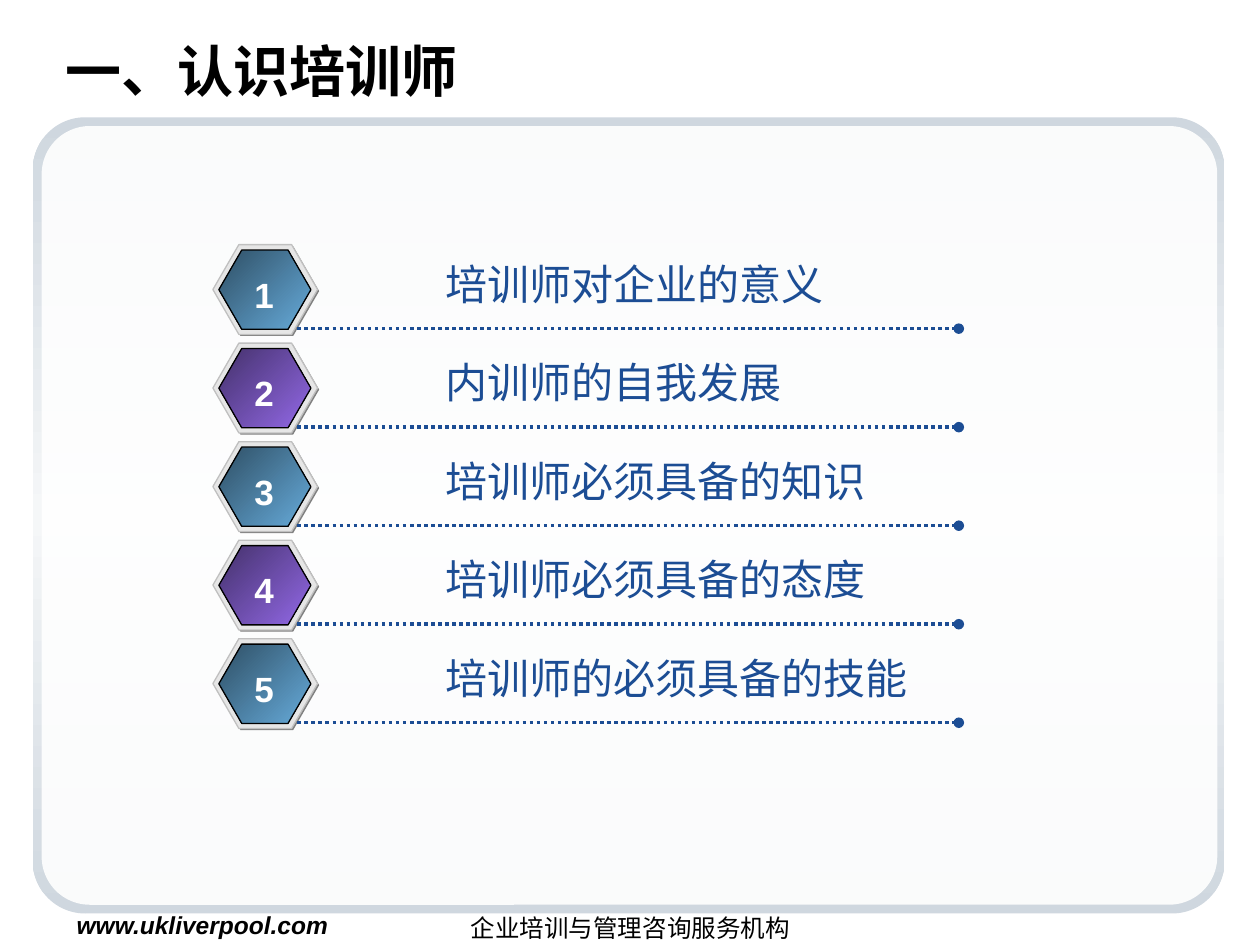
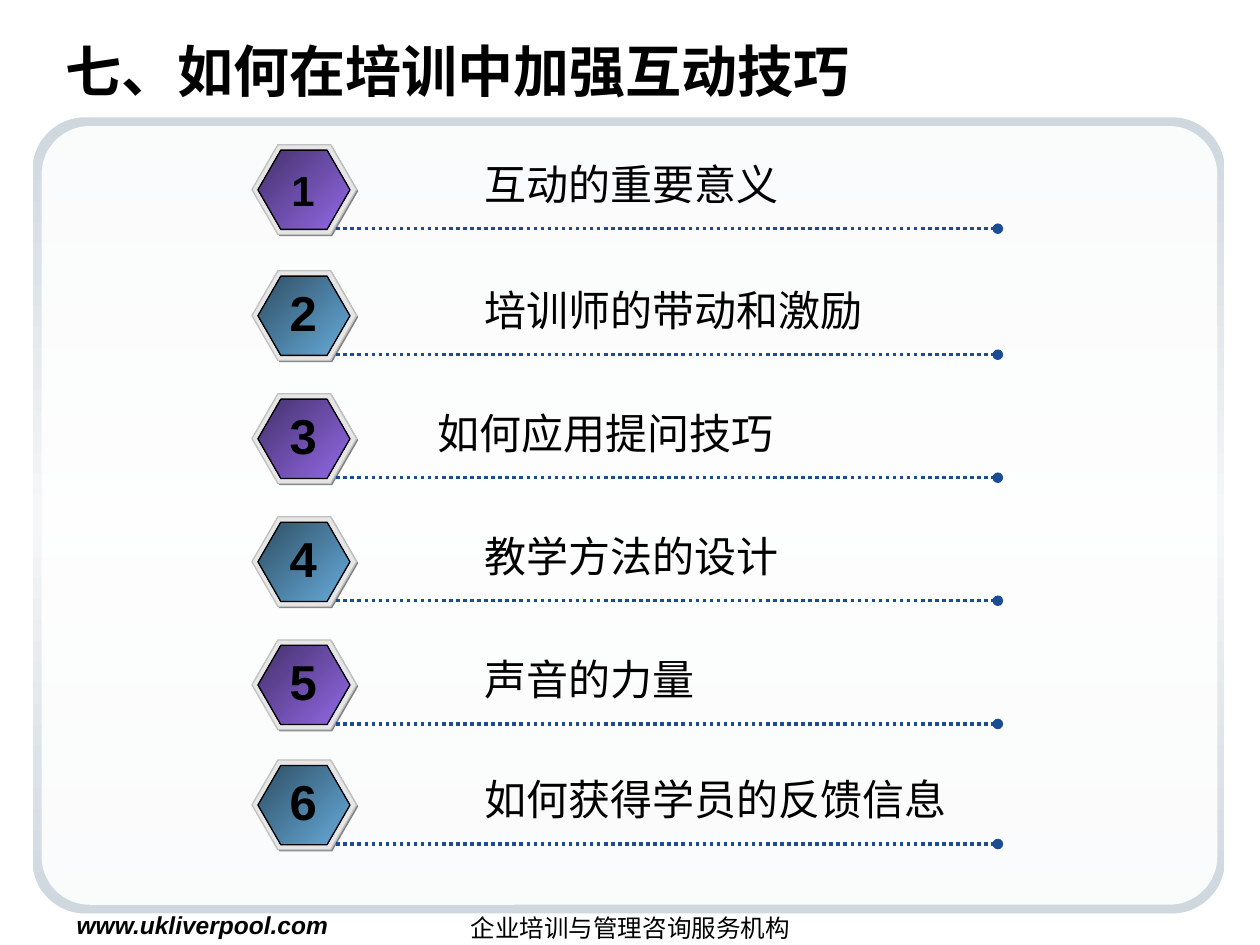
import lxml.etree
import pptx
import pptx.dml.color
import pptx.enum.dml
import pptx.enum.shapes
import pptx.enum.text
import pptx.oxml.ns
import pptx.util
from dataclasses import dataclass

WEB_ADDRESS = "www.ukliverpool.com"
COMPANY = "企业培训与管理咨询服务机构"

# Each item: label, badge colour, number size, shift of the label
AGENDAS = [
    {
        "title": "一、认识培训师",
        "left": 121.7,
        "tops": [139.8 + 56.3 * row for row in range(5)],
        "label_color": "1C4D94",
        "number_color": "FFFFFF",
        "items": [
            ("培训师对企业的意义", "blue", 20, 0),
            ("内训师的自我发展", "purple", 20, 0),
            ("培训师必须具备的知识", "blue", 20, 0),
            ("培训师必须具备的态度", "purple", 20, 0),
            ("培训师的必须具备的技能", "blue", 20, 0),
        ],
    },
    {
        "title": "七、如何在培训中加强互动技巧",
        "left": 144,
        "tops": [82.7, 154.7, 225, 295.3, 365.7, 434.3],
        "label_color": "000000",
        "number_color": "000000",
        "items": [
            ("互动的重要意义", "purple", 24, 0),
            ("培训师的带动和激励", "blue", 28, 0),
            ("如何应用提问技巧", "purple", 28, -27),
            ("教学方法的设计", "blue", 28, 0),
            ("声音的力量", "purple", 28, 0),
            ("如何获得学员的反馈信息", "blue", 28, 0),
        ],
    },
]


@dataclass(frozen=True)
class Theme:
    font: str = "Arial"
    text: str = "000000"
    white: str = "FFFFFF"
    rule: str = "1C4D94"
    badge_shadow: str = "808080"
    badge_ring: str = "E6E6E6"
    badge_edge: str = "C0C0C0"
    frame: tuple = ("CFD7DF", "F5F7F8", "CFD7DF")
    blue: tuple = ("2F4F65", "66ABDA")
    purple: tuple = ("44316B", "9369E7")
    title_size: int = 32
    label_size: int = 24
    footer_size: int = 14


THEME = Theme()
INSET = 7.2
SHAPES = pptx.enum.shapes.MSO_SHAPE
ALIGN = pptx.enum.text.PP_ALIGN
ANCHOR = pptx.enum.text.MSO_ANCHOR
qn = pptx.oxml.ns.qn
Pt = pptx.util.Pt


def rgb(color):
    return pptx.dml.color.RGBColor.from_string(color)


def fill_gradient(shape, colors, angle):
    """Spread the colours evenly; angle runs clockwise in degrees."""
    shape.fill.gradient()
    shape.fill.gradient_angle = 360 - angle
    stops = shape._element.spPr.find(qn("a:gradFill")).find(qn("a:gsLst"))
    for stop in list(stops):
        stops.remove(stop)
    for index, color in enumerate(colors):
        position = str(index * 100000 // (len(colors) - 1))
        stop = lxml.etree.SubElement(stops, qn("a:gs"), pos=position)
        lxml.etree.SubElement(stop, qn("a:srgbClr"), val=color)


def add_shape(shapes, kind, box, fill, adjustments, edge=None, angle=45):
    """A tuple as fill makes a gradient, a string a solid colour."""
    shape = shapes.add_shape(kind, *map(Pt, box))
    shape.shadow.inherit = False
    for index, value in enumerate(adjustments):
        shape.adjustments[index] = value
    if isinstance(fill, tuple):
        fill_gradient(shape, fill, angle)
    else:
        shape.fill.solid()
        shape.fill.fore_color.rgb = rgb(fill)
    if edge:
        shape.line.color.rgb = rgb(edge)
        shape.line.width = Pt(0.75)
    else:
        shape.line.fill.background()
    return shape


def add_text(shapes, text, box, size, color=THEME.text, align=ALIGN.LEFT,
             anchor=ANCHOR.TOP, wrap=True, **font_format):
    frame = shapes.add_textbox(*map(Pt, box)).text_frame
    frame.word_wrap = wrap
    frame.vertical_anchor = anchor
    paragraph = frame.paragraphs[0]
    paragraph.alignment = align
    run = paragraph.add_run()
    run.text = text
    run.font.color.rgb = rgb(color)
    formats = {"name": THEME.font, "size": Pt(size), **font_format}
    for name, value in formats.items():
        setattr(run.font, name, value)


def add_dotted_rule(shapes, left, right, y):
    rule = shapes.add_connector(pptx.enum.shapes.MSO_CONNECTOR.STRAIGHT,
                                Pt(left), Pt(y), Pt(right), Pt(y))
    rule.line.color.rgb = rgb(THEME.rule)
    rule.line.width = Pt(2)
    rule.line.dash_style = pptx.enum.dml.MSO_LINE.ROUND_DOT
    properties = rule._element.spPr
    lxml.etree.SubElement(properties.find(qn("a:ln")), qn("a:tailEnd"), type="oval")
    lxml.etree.SubElement(properties, qn("a:effectLst"))


def add_background(slide, title):
    """Framed panel, footers and title."""
    shapes = slide.shapes
    add_shape(shapes, SHAPES.ROUNDED_RECTANGLE, (18.7, 67, 681.1, 455),
              THEME.frame, [0.066], angle=90)
    panel = add_shape(shapes, SHAPES.ROUNDED_RECTANGLE, (23.8, 72, 671.8, 445),
                      THEME.white, [0.062])
    color = panel._element.spPr.find(qn("a:solidFill")).find(qn("a:srgbClr"))
    lxml.etree.SubElement(color, qn("a:alpha"), val="90000")
    add_text(shapes, WEB_ADDRESS, (36.7, 516.2, 170, 24), THEME.footer_size,
             bold=True, italic=True)
    add_text(shapes, COMPANY, (246.2, 518.4, 228.2, 18), THEME.footer_size,
             align=ALIGN.CENTER)
    add_text(shapes, title, (30.2, 18, 671.8, 44.6), THEME.title_size,
             anchor=ANCHOR.MIDDLE, bold=True)


def add_row(slide, agenda, number, left, top, item):
    label, badge_color, number_size, label_shift = item
    shapes = slide.shapes.add_group_shape().shapes

    badge_layers = [
        (0.9, 0.9, 59.8, 51.3, THEME.badge_shadow, None),
        (0, 0, 59.8, 51.3, THEME.badge_ring, THEME.badge_edge),
        (3.4, 3.1, 52.6, 45.3, getattr(THEME, badge_color), THEME.text),
    ]
    for dx, dy, width, height, fill, edge in badge_layers:
        add_shape(shapes, SHAPES.HEXAGON, (left + dx, top + dy, width, height),
                  fill, [0.289, 1.155], edge)

    add_dotted_rule(shapes, left + 48.2, left + 426.2, top + 48)
    label_width = len(label) * THEME.label_size + 2 * INSET
    add_text(shapes, label, (left + 126 + label_shift, top + 4.2, label_width, 36),
             THEME.label_size, agenda["label_color"], wrap=False)
    width = number_size * 0.56 + 2 * INSET
    height = number_size * 1.2 + INSET
    add_text(shapes, str(number),
             (left + 29.2 - width / 2, top + 44 - height, width, height),
             number_size, agenda["number_color"], ALIGN.CENTER, wrap=False, bold=True)


def main():
    presentation = pptx.Presentation()
    presentation.slide_width, presentation.slide_height = Pt(720), Pt(540)
    for agenda in AGENDAS:
        slide = presentation.slides.add_slide(presentation.slide_layouts[6])
        add_background(slide, agenda["title"])
        rows = zip(agenda["tops"], agenda["items"])
        for number, (top, item) in enumerate(rows, start=1):
            add_row(slide, agenda, number, agenda["left"], top, item)
    presentation.save("out.pptx")


if __name__ == "__main__":
    main()
